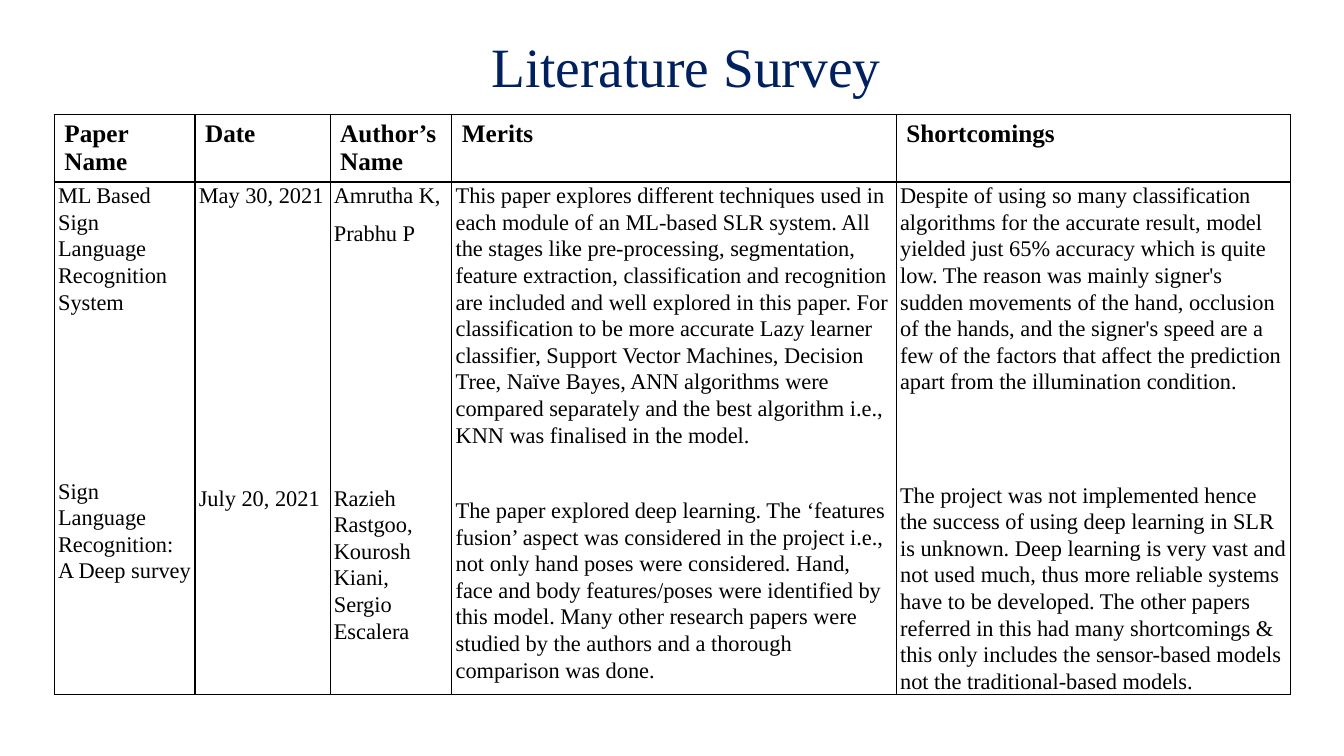
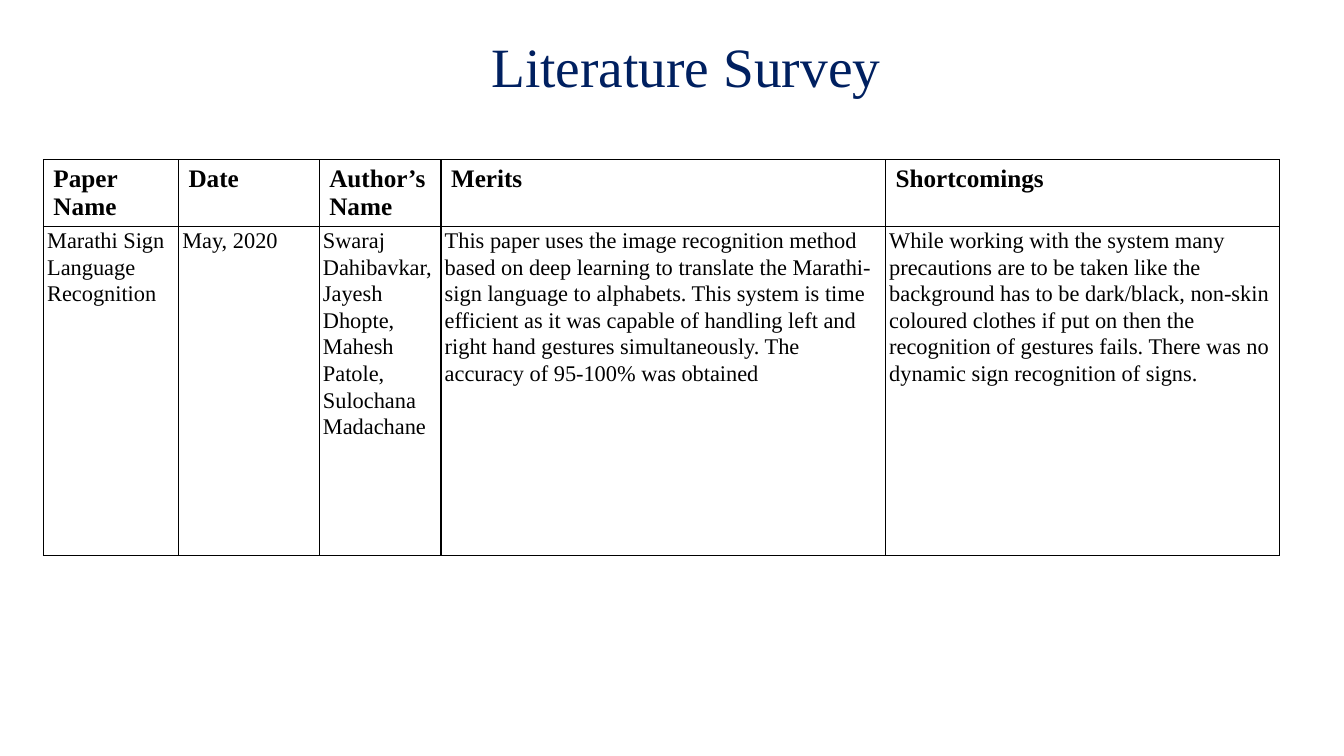
from lxml.etree import SubElement
from pptx import Presentation
from pptx.dml.color import RGBColor
from pptx.enum.text import MSO_ANCHOR, MSO_AUTO_SIZE, PP_ALIGN
from pptx.oxml.ns import qn
from pptx.util import Pt

NAVY = RGBColor(0x00, 0x20, 0x60)
BLACK = RGBColor(0x00, 0x00, 0x00)
FONT = "Times New Roman"
HEADINGS = ["Paper Name", "Date", "Author’s Name", "Merits", "Shortcomings"]
HEADING_HEIGHT = 48
LINE_STEP = 27

ML_SURVEY = [
    ["ML Based Sign Language Recognition System"],
    ["May 30, 2021"],
    ["Amrutha K,", "Prabhu P"],
    ["This paper explores different techniques used in each module of an ML-based SLR system. "
     "All the stages like pre-processing, segmentation, feature extraction, classification and "
     "recognition are included and well explored in this paper. For classification to be more "
     "accurate Lazy learner classifier, Support Vector Machines, Decision Tree, Naïve Bayes, ANN "
     "algorithms were compared separately and the best algorithm i.e., KNN was finalised in the "
     "model."],
    ["Despite of using so many classification algorithms for the accurate result, model yielded "
     "just 65% accuracy which is quite low. The reason was mainly signer's sudden movements of "
     "the hand, occlusion of the hands, and the signer's speed are a few of the factors that "
     "affect the prediction apart from the illumination condition."],
]
DEEP_SURVEY = [
    ["Sign Language Recognition: A Deep survey"],
    ["July 20, 2021"],
    ["Razieh Rastgoo, Kourosh Kiani, Sergio Escalera"],
    ["The paper explored deep learning. The ‘features fusion’ aspect was considered in the "
     "project i.e., not only hand poses were considered. Hand, face and body features/poses were "
     "identified by this model. Many other research papers were studied by the authors and a "
     "thorough comparison was done."],
    ["The project was not implemented hence the success of using deep learning in SLR is unknown. "
     "Deep learning is very vast and not used much, thus more reliable systems have to be "
     "developed. The other papers referred in this had many shortcomings & this only includes the "
     "sensor-based models not the traditional-based models."],
]
DEEP_SURVEY_GAPS = [4, 7, 6, 1, 2]
MARATHI_SURVEY = [
    ["Marathi Sign Language Recognition"],
    ["May, 2020"],
    ["Swaraj Dahibavkar, Jayesh Dhopte, Mahesh Patole, Sulochana Madachane"],
    ["This paper uses the image recognition method based on deep learning to translate the "
     "Marathi-sign language to alphabets. This system is time efficient as it was capable of "
     "handling left and right hand gestures simultaneously. The accuracy of 95-100% was obtained"],
    ["While working with the system many precautions are to be taken like the background has to "
     "be dark/black, non-skin coloured clothes if put on then the recognition of gestures fails. "
     "There was no dynamic sign recognition of signs."],
]


class SurveyDeck:
    def __init__(self):
        self.presentation = Presentation()
        self.presentation.slide_width = Pt(960)
        self.presentation.slide_height = Pt(540)
        self.slide = None

    def style(self, paragraph, size, color=BLACK, bold=False):
        font = paragraph.font
        font.name, font.size, font.bold = FONT, Pt(size), bold
        font.color.rgb = color

    def add_slide(self, heading):
        self.slide = self.presentation.slides.add_slide(self.presentation.slide_layouts[5])
        title = self.slide.shapes.title
        title.left, title.top, title.width, title.height = Pt(66), Pt(29), Pt(848), Pt(41)
        frame = title.text_frame
        frame.text = heading
        frame.auto_size = MSO_AUTO_SIZE.NONE
        frame.vertical_anchor = MSO_ANCHOR.MIDDLE
        paragraph = frame.paragraphs[0]
        paragraph.alignment = PP_ALIGN.CENTER
        paragraph.line_spacing = 0.9
        self.style(paragraph, 39.6, NAVY)

    def outline(self, cell):
        properties = cell._tc.get_or_add_tcPr()
        for side in ("a:lnL", "a:lnR", "a:lnT", "a:lnB"):
            border = SubElement(properties, qn(side), w=str(Pt(1)))
            fill = SubElement(border, qn("a:solidFill"))
            SubElement(fill, qn("a:srgbClr"), val=str(BLACK))
        cell.fill.background()

    def fill_entry(self, cell, entries):
        cell.margin_left = cell.margin_right = Pt(2.7)
        cell.margin_top = cell.margin_bottom = 0
        frame = cell.text_frame
        for index, (text, gap) in enumerate(entries):
            paragraph = frame.add_paragraph() if index else frame.paragraphs[0]
            paragraph.text = text
            paragraph.line_spacing = 1.07
            paragraph.space_after = Pt(8)
            if gap:
                paragraph.space_before = Pt(gap * LINE_STEP)
            self.style(paragraph, 16)

    def add_survey(self, left, top, widths, body_height, columns):
        table = self.slide.shapes.add_table(
            2, len(HEADINGS), Pt(left), Pt(top), Pt(sum(widths)),
            Pt(HEADING_HEIGHT + body_height)).table
        table.first_row = table.horz_banding = False
        table.rows[0].height = Pt(HEADING_HEIGHT)
        table.rows[1].height = Pt(body_height)
        for index, (width, heading, entries) in enumerate(zip(widths, HEADINGS, columns)):
            table.columns[index].width = Pt(width)
            heading_cell, entry_cell = table.cell(0, index), table.cell(1, index)
            heading_cell.text = heading
            self.style(heading_cell.text_frame.paragraphs[0], 18, bold=True)
            self.fill_entry(entry_cell, entries)
            self.outline(heading_cell)
            self.outline(entry_cell)


def without_gaps(paper):
    return [[(text, 0) for text in texts] for texts in paper]


def main():
    deck = SurveyDeck()
    shared_widths = [87, 317.5, 281.5]

    deck.add_slide("Literature Survey")
    columns = [
        first + [(text, gap) for text in second]
        for first, second, gap in zip(without_gaps(ML_SURVEY), DEEP_SURVEY, DEEP_SURVEY_GAPS)
    ]
    deck.add_survey(38.8, 82, [100.5, 96.5] + shared_widths, 366, columns)

    deck.add_slide("Literature Survey")
    deck.add_survey(31, 114, [96.5, 100.5] + shared_widths, 235, without_gaps(MARATHI_SURVEY))

    deck.presentation.save("out.pptx")


if __name__ == "__main__":
    main()
